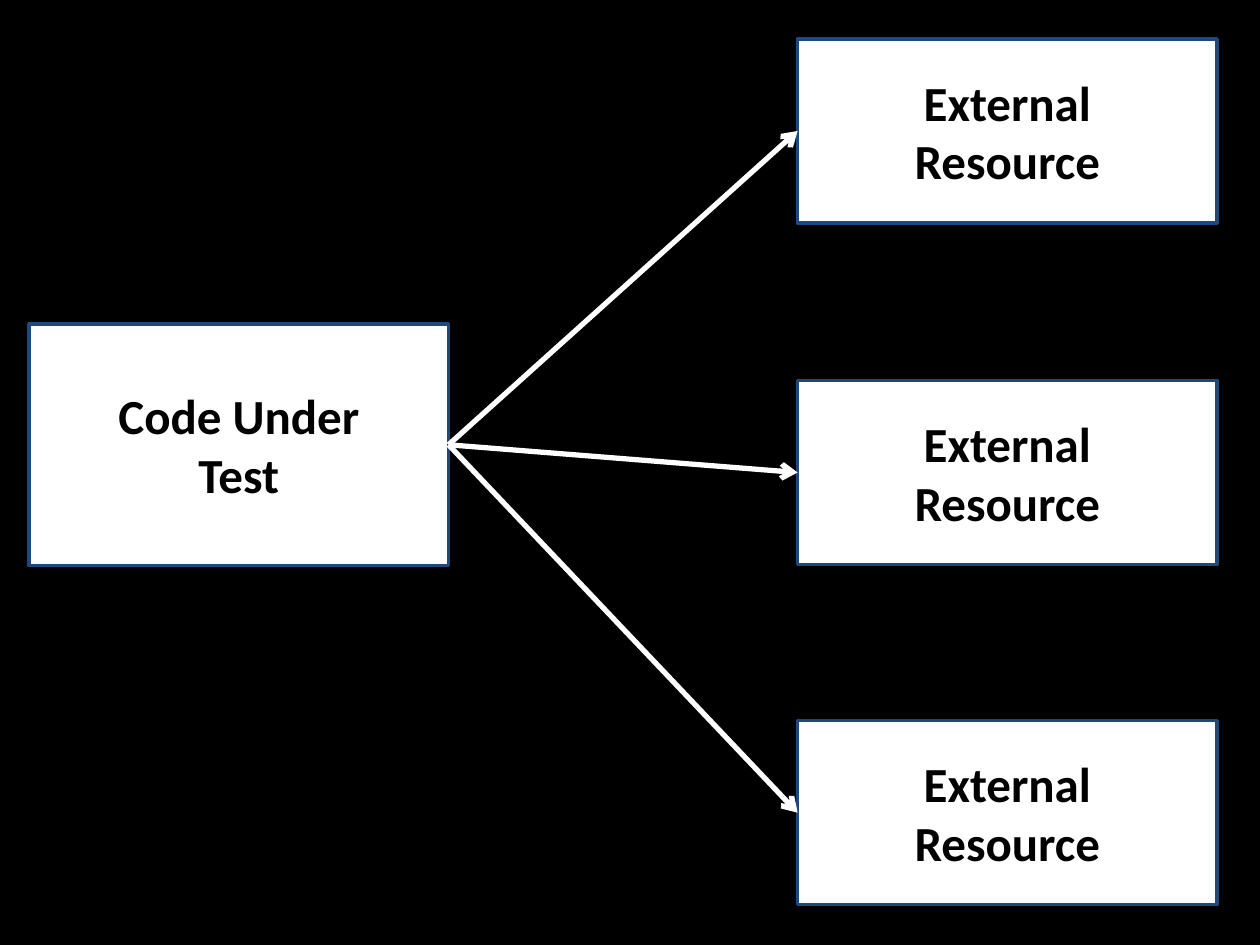
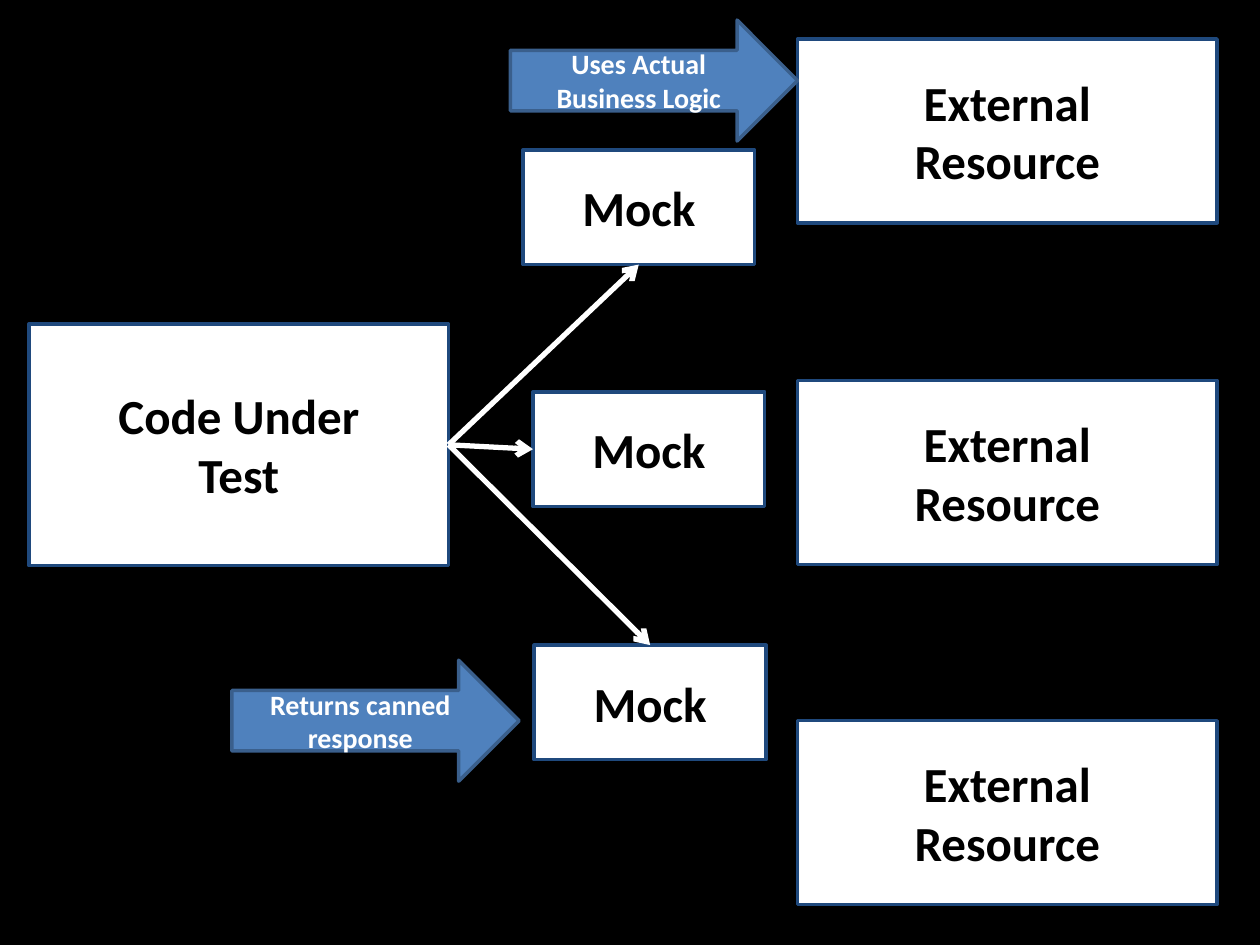
from dataclasses import dataclass

from lxml.etree import SubElement
from pptx import Presentation
from pptx.dml.color import RGBColor
from pptx.enum.shapes import MSO_CONNECTOR, MSO_SHAPE
from pptx.enum.text import MSO_ANCHOR, PP_ALIGN
from pptx.oxml.ns import qn
from pptx.shapes.autoshape import Shape
from pptx.slide import Slide
from pptx.util import Inches, Pt

BLACK = RGBColor(0x00, 0x00, 0x00)
WHITE = RGBColor(0xFF, 0xFF, 0xFF)
NAVY = RGBColor(0x1F, 0x49, 0x7D)
BLUE = RGBColor(0x4F, 0x81, 0xBD)
DARK_BLUE = RGBColor(0x3A, 0x5F, 0x8C)
FONT = "Calibri"
TOP, LEFT, BOTTOM, RIGHT = range(4)


@dataclass(frozen=True)
class Style:
    """Look shared by all shapes of one kind."""
    preset: MSO_SHAPE
    fill: RGBColor
    line: RGBColor
    color: RGBColor
    size: int


@dataclass(frozen=True)
class Box:
    """A labelled shape, placed in inches."""
    text: str
    x: float
    y: float
    w: float
    h: float


@dataclass(frozen=True)
class Mock:
    """A mock box and the side its arrow reaches."""
    x: float
    y: float
    side: int


PLAIN = Style(MSO_SHAPE.RECTANGLE, WHITE, NAVY, BLACK, 28)
CALLOUT = Style(MSO_SHAPE.RIGHT_ARROW, BLUE, DARK_BLUE, WHITE, 16)

CODE = Box("Code Under\nTest", 0.23, 2.57, 3.33, 1.92)
RESOURCES = [Box("External\nResource", 6.33, y, 3.33, 1.46) for y in (0.31, 3.02, 5.72)]
MOCKS = [Mock(4.15, 1.19, BOTTOM), Mock(4.23, 3.11, LEFT), Mock(4.24, 5.12, TOP)]
CALLOUTS = [
    Box("Uses Actual\nBusiness Logic", 4.05, 0.16, 2.28, 0.96),
    Box("Returns canned\nresponse", 1.84, 5.24, 2.28, 0.96),
]


def add_box(s: Slide, box: Box, style: Style = PLAIN) -> Shape:
    """Draw a shape with its centred bold label."""
    sp = s.shapes.add_shape(style.preset, Inches(box.x), Inches(box.y),
                            Inches(box.w), Inches(box.h))
    sp.shadow.inherit = False
    sp.fill.solid()
    sp.fill.fore_color.rgb = style.fill
    sp.line.color.rgb = style.line
    sp.line.width = Pt(2)
    tf = sp.text_frame
    tf.word_wrap = True
    tf.vertical_anchor = MSO_ANCHOR.MIDDLE
    tf.text = box.text
    for p in tf.paragraphs:
        p.alignment = PP_ALIGN.CENTER
        for r in p.runs:
            r.font.name = FONT
            r.font.size = Pt(style.size)
            r.font.bold = True
            r.font.color.rgb = style.color
    return sp


def add_arrow(s: Slide, source: Shape, target: Shape, side: int) -> None:
    """Join the right of the source to one side of the target."""
    cxn = s.shapes.add_connector(MSO_CONNECTOR.STRAIGHT, 0, 0, 0, 0)
    cxn.begin_connect(source, RIGHT)
    cxn.end_connect(target, side)
    cxn.line.color.rgb = WHITE
    cxn.line.width = Pt(3)
    SubElement(cxn.line._get_or_add_ln(), qn("a:tailEnd"), type="arrow")
    SubElement(cxn._element.spPr, qn("a:effectLst"))


def add_slide(prs: Presentation) -> tuple[Slide, Shape, list[Shape]]:
    """Add a black slide with the code box and the external resources."""
    s = prs.slides.add_slide(prs.slide_layouts[6])
    s.background.fill.solid()
    s.background.fill.fore_color.rgb = BLACK
    return s, add_box(s, CODE), [add_box(s, box) for box in RESOURCES]


def direct_slide(prs: Presentation) -> None:
    """Show the code calling the resources directly."""
    s, code, resources = add_slide(prs)
    for resource in resources:
        add_arrow(s, code, resource, LEFT)


def mock_slide(prs: Presentation) -> None:
    """Show the code calling mocks in place of the resources."""
    s, code, _ = add_slide(prs)
    for mock in MOCKS:
        sp = add_box(s, Box("Mock", mock.x, mock.y, 1.84, 0.91))
        add_arrow(s, code, sp, mock.side)
    for callout in CALLOUTS:
        add_box(s, callout, CALLOUT)


def main() -> None:
    """Build and save the presentation."""
    prs = Presentation()
    prs.slide_width = Inches(10)
    prs.slide_height = Inches(7.5)
    direct_slide(prs)
    mock_slide(prs)
    prs.save("out.pptx")


if __name__ == "__main__":
    main()
